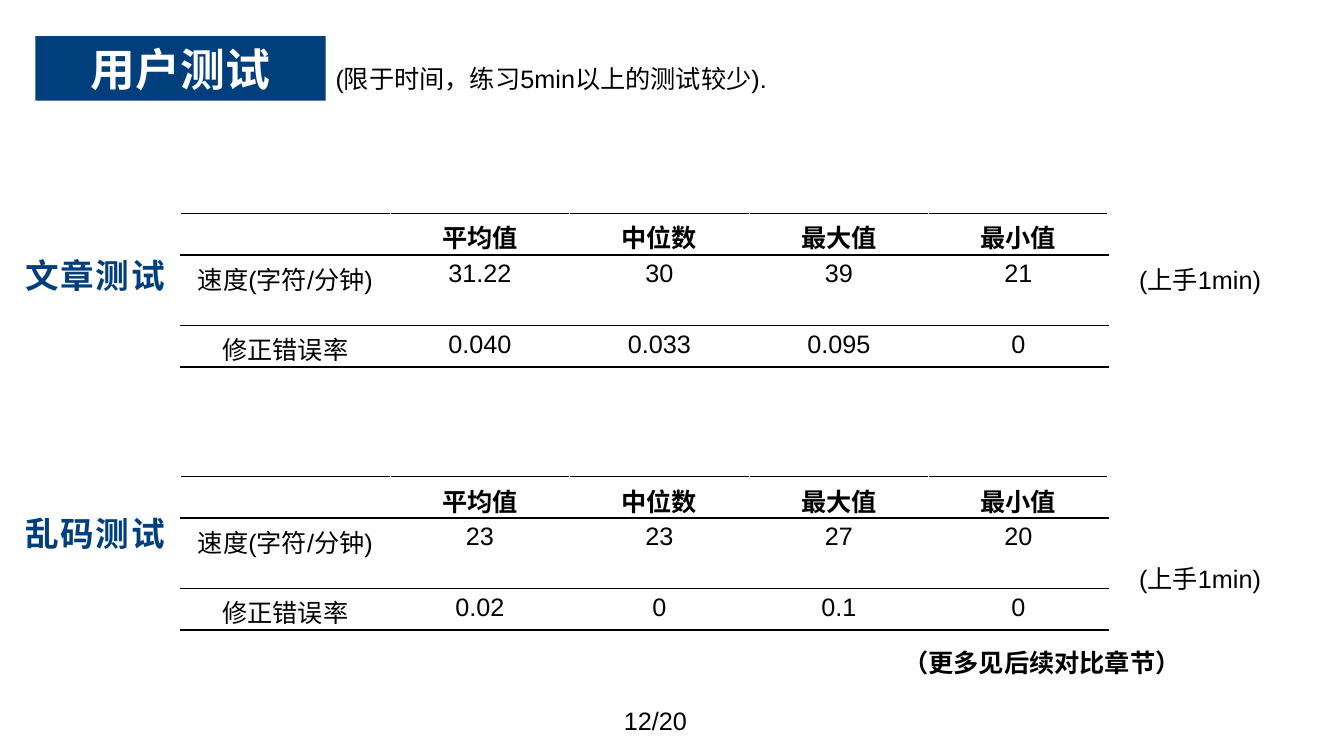
from lxml.etree import SubElement
from pptx import Presentation
from pptx.dml.color import RGBColor
from pptx.enum.shapes import MSO_SHAPE
from pptx.enum.text import MSO_ANCHOR, PP_ALIGN
from pptx.oxml.ns import qn
from pptx.util import Inches, Pt

NAVY = RGBColor(0x00, 0x3F, 0x7B)
BLACK = RGBColor(0x00, 0x00, 0x00)
WHITE = RGBColor(0xFF, 0xFF, 0xFF)
FONT = "Arial"

COLUMN_WIDTHS = [2.08, 1.78, 1.78, 1.78, 1.78]
ROW_HEIGHT = 0.41
HEADINGS = ["", "平均值", "中位数", "最大值", "最小值"]
SPEED = "速度(字符/分钟)"
ERROR_RATE = "修正错误率"

TESTS = [
    ("文章测试", 2.48, 2.12, 2.57,
     ["31.22", "30", "39", "21"], ["0.040", "0.033", "0.095", "0"]),
    ("乱码测试", 5.04, 4.73, 5.54,
     ["23", "23", "27", "20"], ["0.02", "0", "0.1", "0"]),
]


class SlideBuilder:
    def __init__(self, slide):
        self.slide = slide

    def add_text(self, frame, text, size=18, color=BLACK, bold=False, align=PP_ALIGN.LEFT, spacing=None):
        paragraph = frame.paragraphs[0]
        paragraph.alignment = align
        run = paragraph.add_run()
        run.text = text
        run.font.name = FONT
        run.font.size = Pt(size)
        run.font.bold = bold
        run.font.color.rgb = color
        if spacing:
            run._r.get_or_add_rPr().set("spc", str(spacing))

    def banner(self, left, top, width, height, text):
        banner = self.slide.shapes.add_shape(
            MSO_SHAPE.RECTANGLE, Inches(left), Inches(top), Inches(width), Inches(height))
        banner.shadow.inherit = False
        banner.fill.solid()
        banner.fill.fore_color.rgb = NAVY
        banner.line.fill.background()
        banner.text_frame.word_wrap = True
        banner.text_frame.vertical_anchor = MSO_ANCHOR.MIDDLE
        self.add_text(banner.text_frame, text, 32, WHITE, True, PP_ALIGN.CENTER)

    def label(self, left, top, width, height, text, **style):
        frame = self.slide.shapes.add_textbox(
            Inches(left), Inches(top), Inches(width), Inches(height)).text_frame
        frame.word_wrap = True
        self.add_text(frame, text, **style)

    def borders(self, cell, bottom_width):
        properties = cell._tc.get_or_add_tcPr()
        sides = [("lnL", WHITE, 1), ("lnR", WHITE, 1), ("lnT", BLACK, 1), ("lnB", BLACK, bottom_width)]
        for side, color, width in sides:
            line = SubElement(properties, qn(f"a:{side}"), w=str(Pt(width)))
            fill = SubElement(line, qn("a:solidFill"))
            SubElement(fill, qn("a:srgbClr"), val=str(color))

    def results(self, left, top, rows):
        table = self.slide.shapes.add_table(
            len(rows), len(COLUMN_WIDTHS), Inches(left), Inches(top),
            Inches(sum(COLUMN_WIDTHS)), Inches(ROW_HEIGHT * len(rows))).table
        table.horz_banding = False
        for column, width in zip(table.columns, COLUMN_WIDTHS):
            column.width = Inches(width)
        for row_index, values in enumerate(rows):
            table.rows[row_index].height = Inches(ROW_HEIGHT)
            for column_index, value in enumerate(values):
                cell = table.cell(row_index, column_index)
                self.borders(cell, 1.5 if row_index == len(rows) - 1 else 1)
                cell.fill.background()
                if value:
                    self.add_text(cell.text_frame, value, bold=row_index == 0, align=PP_ALIGN.CENTER)


def main():
    presentation = Presentation()
    presentation.slide_width = Inches(13.33)
    presentation.slide_height = Inches(7.5)
    builder = SlideBuilder(presentation.slides.add_slide(presentation.slide_layouts[6]))

    builder.banner(0.35, 0.36, 2.88, 0.64, "用户测试")
    builder.label(3.23, 0.58, 4.52, 0.4, "(限于时间，练习5min以上的测试较少).")
    for name, name_top, table_top, note_top, speeds, error_rates in TESTS:
        builder.label(0.15, name_top, 1.75, 0.5, name, size=24, color=NAVY, bold=True, spacing=130)
        builder.results(1.79, table_top, [HEADINGS, [SPEED, *speeds], [ERROR_RATE, *error_rates]])
        builder.label(11.2, note_top, 1.42, 0.4, "(上手1min)")
    builder.label(8.86, 6.37, 2.98, 0.4, "（更多见后续对比章节）", bold=True)
    builder.label(6.09, 6.95, 0.85, 0.4, "12/20")

    presentation.save("out.pptx")


if __name__ == "__main__":
    main()
